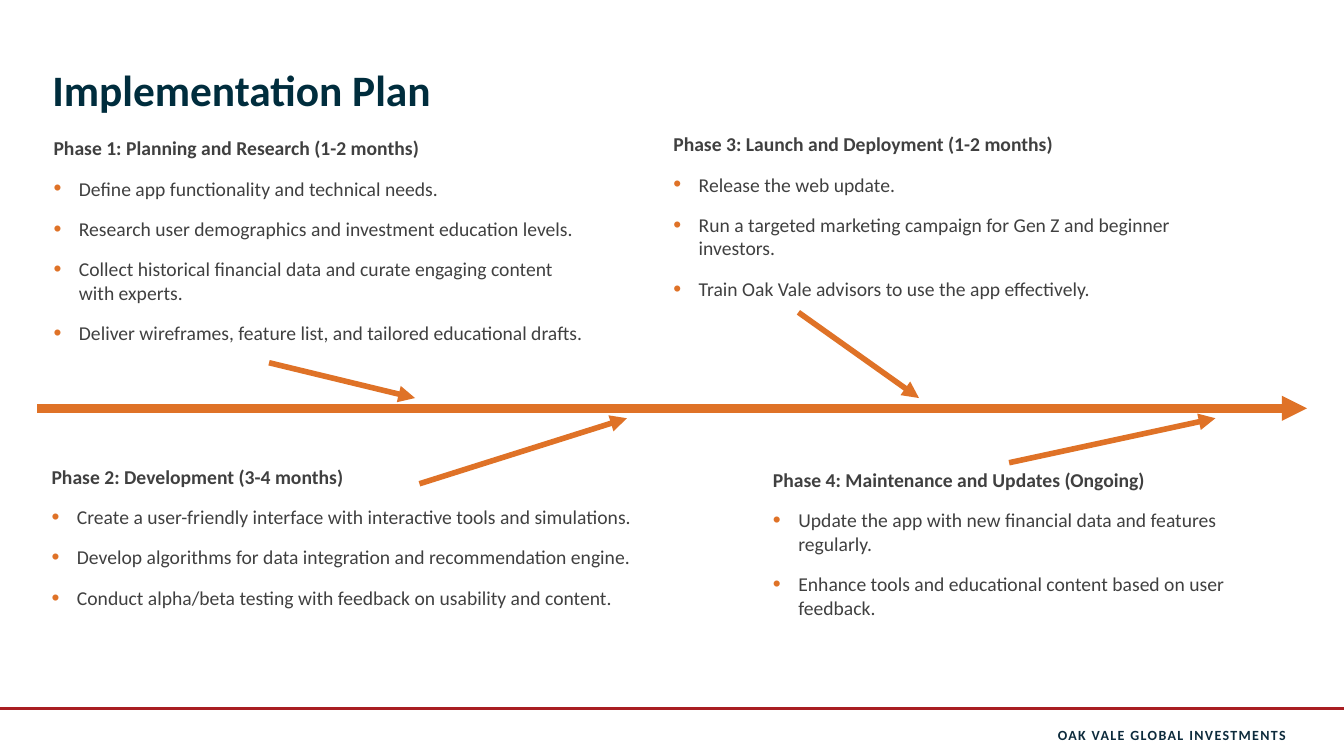
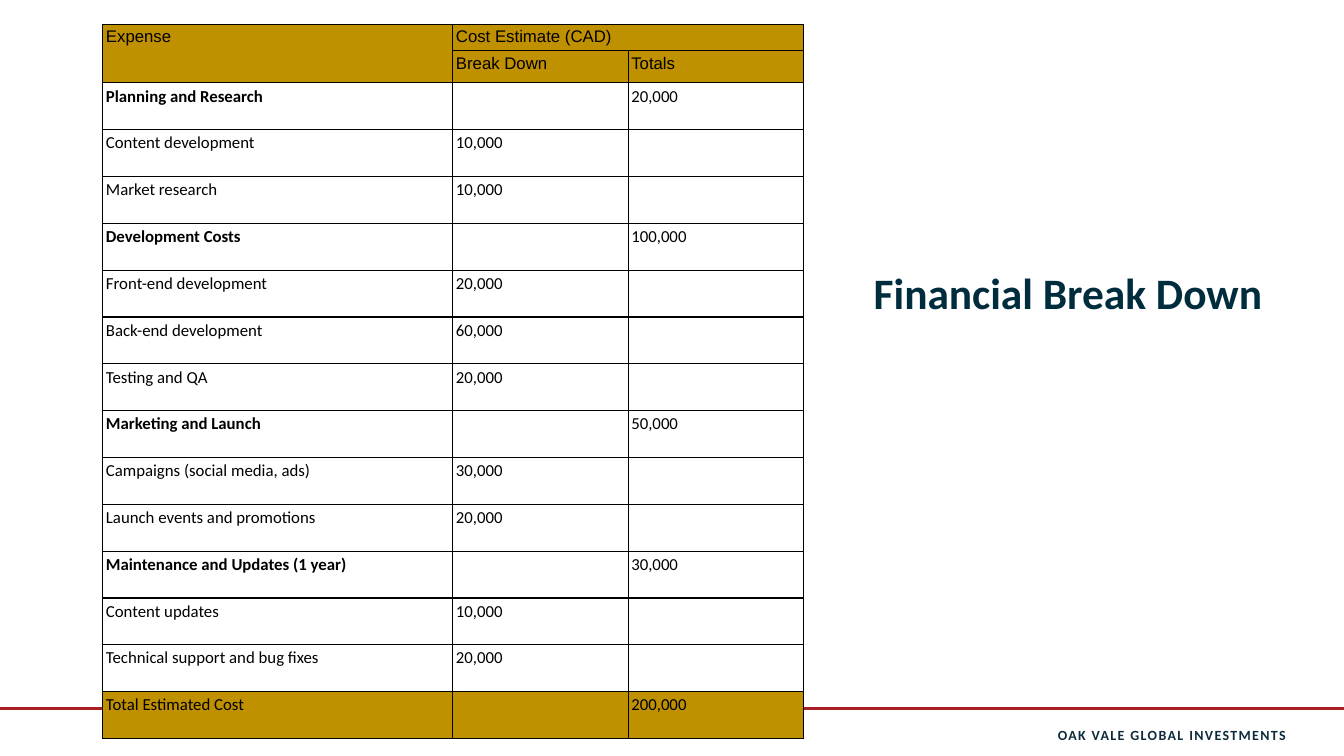
from lxml.etree import SubElement as Sub
from pptx import Presentation
from pptx.dml.color import RGBColor as Rgb
from pptx.enum.shapes import MSO_CONNECTOR as Link
from pptx.enum.text import MSO_ANCHOR as Anchor, PP_ALIGN as Align
from pptx.oxml import parse_xml
from pptx.oxml.ns import nsdecls, qn
from pptx.util import Cm, Pt

HUES = {
    "title": "002D3D",
    "foot": "0D2B3C",
    "body": "404040",
    "accent": "DF7227",
    "rule": "A91E22",
    "gold": "BF9000",
    "black": "000000",
}
WIDE, HIGH = 33.87, 19.05

# Each phase: box, arrow ends, heading, tasks
PHASES = [
    ((1.35, 3.3, 13.46, 4.98), (6.78, 9.14, 10.46, 10.03),
     "Phase 1: Planning and Research (1-2 months)",
     ["Define app functionality and technical needs.",
      "Research user demographics and investment education levels.",
      "Collect historical financial data and curate engaging content with experts.",
      "Deliver wireframes, feature list, and tailored educational drafts."]),
    ((1.3, 11.58, 16.05, 4.57), (10.57, 12.19, 15.8, 10.54),
     "Phase 2: Development (3-4 months)",
     ["Create a user-friendly interface with interactive tools and simulations.",
      "Develop algorithms for data integration and recommendation engine.",
      "Conduct alpha/beta testing with feedback on usability and content."]),
    ((16.97, 3.2, 13.34, 4.98), (20.12, 7.87, 23.16, 10.03),
     "Phase 3: Launch and Deployment (1-2 months)",
     ["Release the web update.",
      "Run a targeted marketing campaign for Gen Z and beginner investors.",
      "Train Oak Vale advisors to use the app effectively."]),
    ((19.48, 11.66, 11.89, 3.07), (25.43, 11.66, 30.63, 10.54),
     "Phase 4: Maintenance and Updates (Ongoing)",
     ["Update the app with new financial data and features regularly.",
      "Enhance tools and educational content based on user feedback."]),
]

COSTS = {
    "Planning and Research": {
        "Content development": 10000, "Market research": 10000},
    "Development Costs": {
        "Front-end development": 20000, "Back-end development": 60000,
        "Testing and QA": 20000},
    "Marketing and Launch": {
        "Campaigns (social media, ads)": 30000,
        "Launch events and promotions": 20000},
    "Maintenance and Updates (1 year)": {
        "Content updates": 10000, "Technical support and bug fixes": 20000},
}


def write(para, text, size=14, hue="body", bold=False, face="Calibri",
          align=None, track=None):
    """Add one formatted run; track is letter spacing in points."""
    run = para.add_run()
    run.text = text
    font = run.font
    font.size, font.bold, font.name = Pt(size), bold, face
    font.color.rgb = Rgb.from_string(HUES[hue])
    if align is not None:
        para.alignment = align
    if track:
        font._element.set("spc", str(track * 100))


def bullet(para):
    props = para._p.get_or_add_pPr()
    props.set("marL", str(Cm(0.64)))
    props.set("indent", str(-Cm(0.64)))
    tint = Sub(props, qn("a:buClr"))
    Sub(tint, qn("a:srgbClr"), val=HUES["accent"])
    Sub(props, qn("a:buSzPct"), val="115000")
    Sub(props, qn("a:buFont"), typeface="Arial")
    Sub(props, qn("a:buChar"), char="•")
    para.space_before = Pt(12)


def border(cell):
    props = cell._tc.get_or_add_tcPr()
    for spot, side in enumerate(("lnL", "lnR", "lnT", "lnB")):
        props.insert(spot, parse_xml(
            f'<a:{side} {nsdecls("a")} w="12700"><a:solidFill>'
            f'<a:srgbClr val="{HUES["black"]}"/></a:solidFill></a:{side}>'))


class Deck:
    def __init__(self):
        self.show = Presentation()
        self.show.slide_width, self.show.slide_height = Cm(WIDE), Cm(HIGH)
        self.slide = None

    def page(self, title, left, top, wide):
        """Start a slide with its rule, footer and title."""
        self.slide = self.show.slides.add_slide(self.show.slide_layouts[6])
        self.line((0, 17.86, WIDE, 17.86), "rule", 2.25)
        foot = self.box((24.56, 18.01, 7.85, 1.02), 0.2, Anchor.MIDDLE)
        write(foot.paragraphs[0], "OAK VALE GLOBAL INVESTMENTS", size=10,
              hue="foot", bold=True, align=Align.RIGHT, track=1)
        head = self.box((left, top, wide, 2.9), 0, Anchor.BOTTOM)
        write(head.paragraphs[0], title, size=31, hue="title", bold=True)

    def box(self, area, pad=0.13, anchor=Anchor.TOP):
        frame = self.slide.shapes.add_textbox(*map(Cm, area)).text_frame
        frame.word_wrap = True
        frame.vertical_anchor = anchor
        frame.margin_left = frame.margin_right = 0
        frame.margin_top = frame.margin_bottom = Cm(pad)
        return frame

    def line(self, ends, hue, width, arrow=False):
        link = self.slide.shapes.add_connector(Link.STRAIGHT, *map(Cm, ends))
        link.line.width = Pt(width)
        link.line.color.rgb = Rgb.from_string(HUES[hue])
        if arrow:
            Sub(link.line._get_or_add_ln(), qn("a:tailEnd"), type="triangle")
        Sub(link._element.spPr, qn("a:effectLst"))

    def phase(self, area, head, tasks):
        frame = self.box(area)
        write(frame.paragraphs[0], head, bold=True)
        for task in tasks:
            para = frame.add_paragraph()
            bullet(para)
            write(para, task)

    def cell(self, cell, text, fill=None, **style):
        cell.margin_left = cell.margin_right = Cm(0.08)
        cell.margin_top = cell.margin_bottom = Cm(0.08)
        if fill:
            cell.fill.solid()
            cell.fill.fore_color.rgb = Rgb.from_string(HUES[fill])
        else:
            cell.fill.background()
        border(cell)
        write(cell.text_frame.paragraphs[0], text, size=12, hue="black",
              **style)

    def table(self, rows, left, top, wides, highs):
        """Draw rows of (texts, fill, face, bold first cell)."""
        grid = self.slide.shapes.add_table(
            len(rows), len(wides), Cm(left), Cm(top),
            Cm(sum(wides)), Cm(sum(highs))).table
        grid.first_row = grid.horz_banding = False
        for col, wide in zip(grid.columns, wides):
            col.width = Cm(wide)
        for y, (texts, fill, face, bold) in enumerate(rows):
            grid.rows[y].height = Cm(highs[y])
            for x, text in enumerate(texts):
                self.cell(grid.cell(y, x), text, fill, face=face,
                          bold=bold and x == 0)
        return grid


def plan(deck):
    deck.page("Implementation Plan", 1.32, 0, 31)
    deck.line((0.94, 10.29, 32.94, 10.29), "accent", 6, arrow=True)
    for area, ends, head, tasks in PHASES:
        deck.phase(area, head, tasks)
        deck.line(ends, "accent", 4, arrow=True)


def budget(deck):
    deck.page("Financial Break Down", 22.02, 5.13, 11)
    rows = [(("Expense", "Cost Estimate (CAD)", ""), "gold", "Arial", False),
            (("", "Break Down", "Totals"), "gold", "Arial", False)]
    total = 0
    for group, items in COSTS.items():
        part = sum(items.values())
        total += part
        rows.append(((group, "", f"{part:,}"), None, "Calibri", True))
        rows += [((name, f"{cost:,}", ""), None, "Calibri", False)
                 for name, cost in items.items()]
    rows.append((("Total Estimated Cost", "", f"{total:,}"),
                 "gold", "Calibri", False))
    highs = [0.64, 0.81] + [1.18] * (len(rows) - 2)
    grid = deck.table(rows, 2.59, 0.61, (8.82, 4.42, 4.42), highs)
    grid.cell(0, 0).merge(grid.cell(1, 0))
    grid.cell(0, 1).merge(grid.cell(0, 2))


def main():
    deck = Deck()
    plan(deck)
    budget(deck)
    deck.show.save("out.pptx")


if __name__ == "__main__":
    main()
